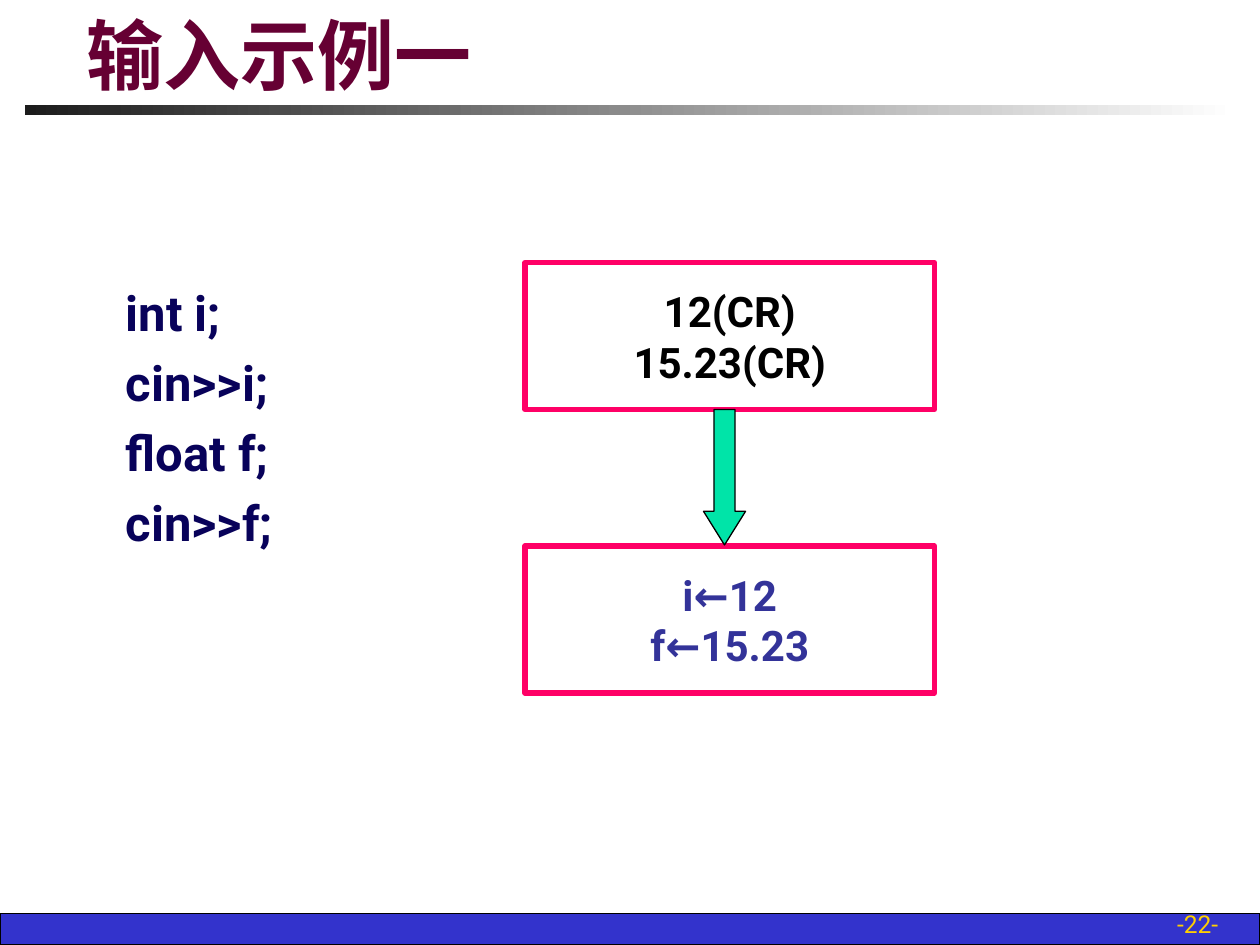
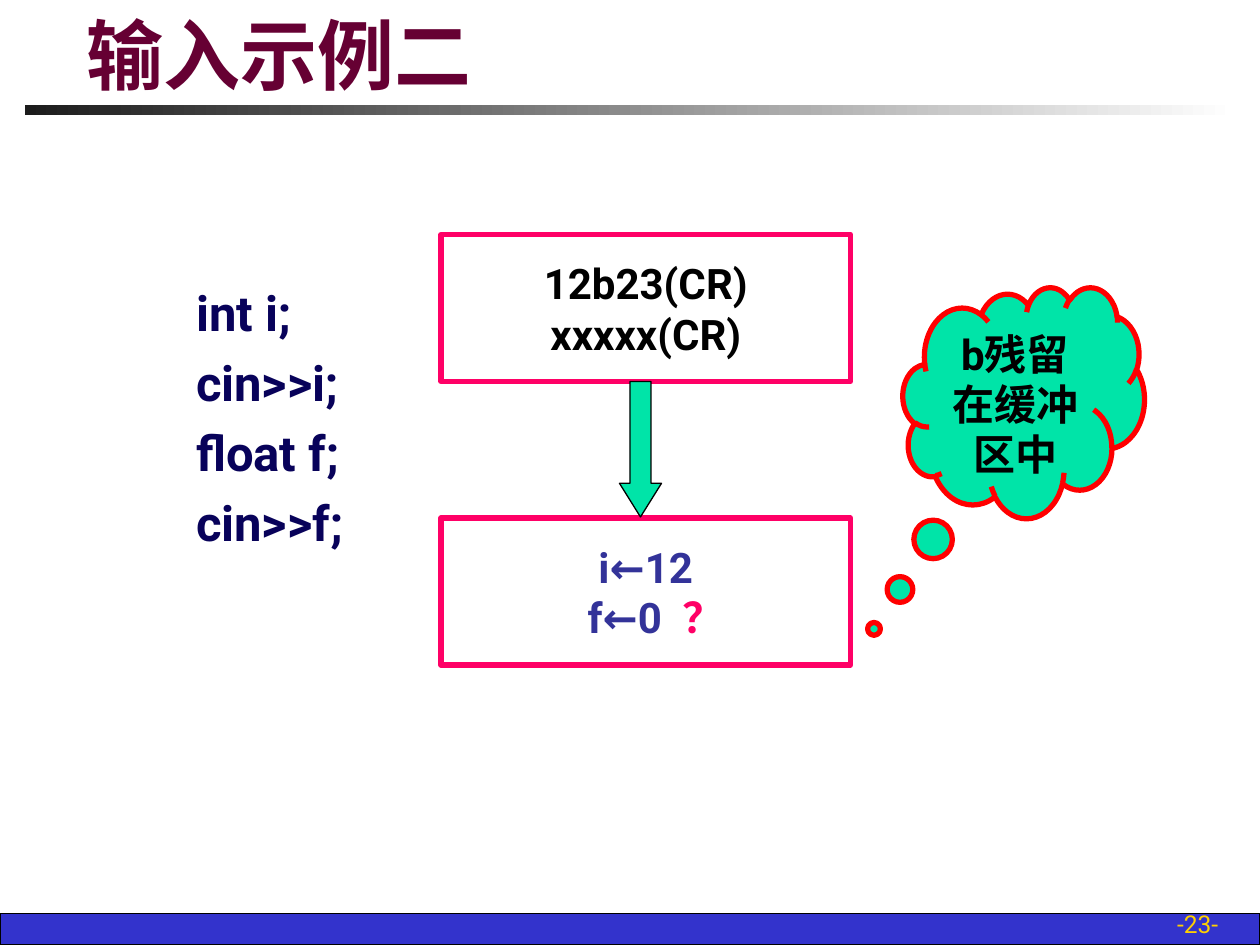
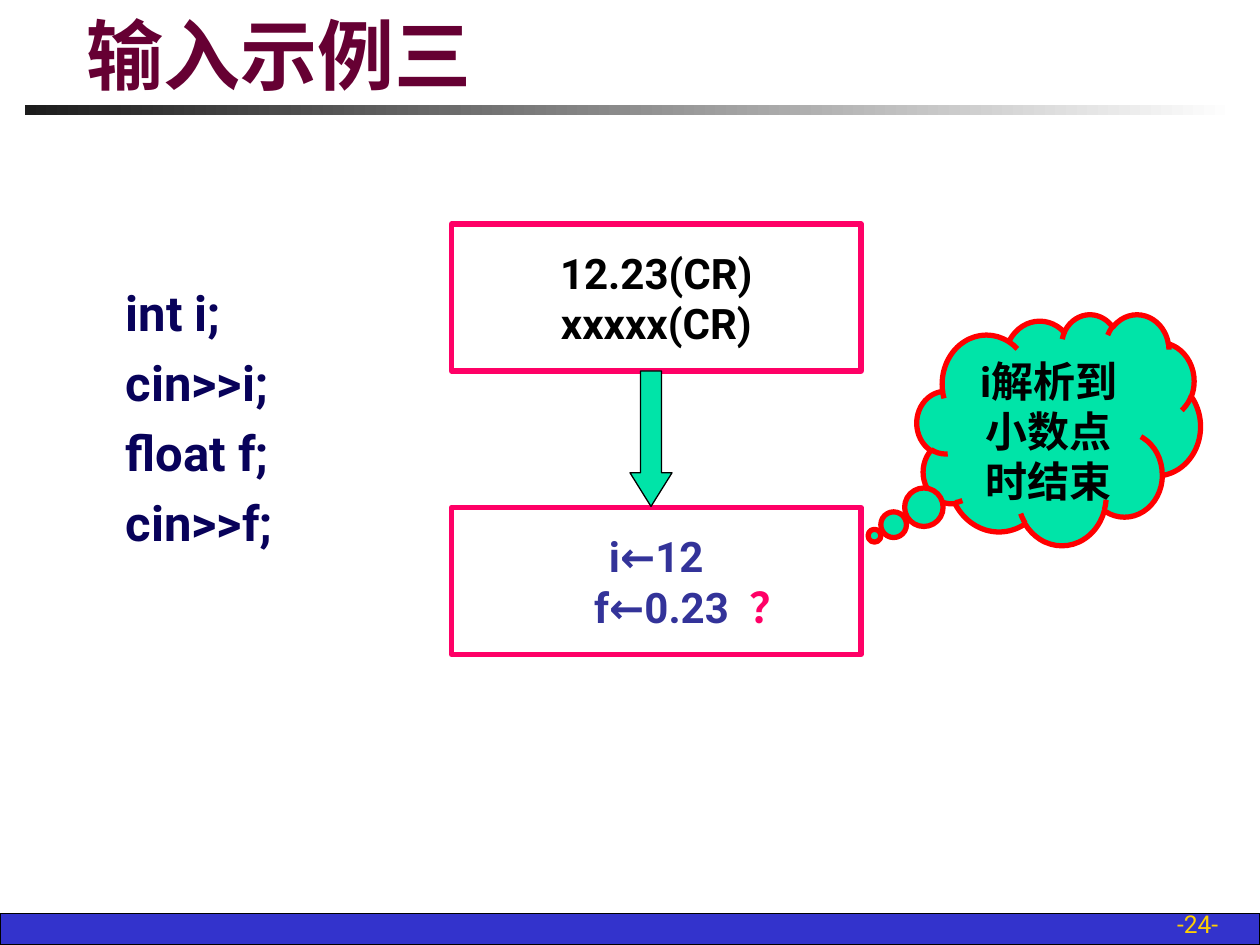
from pptx import Presentation
from pptx.dml.color import RGBColor
from pptx.enum.shapes import MSO_SHAPE
from pptx.enum.text import MSO_ANCHOR, PP_ALIGN
from pptx.util import Inches, Pt

RECT, ARROW, CLOUD = MSO_SHAPE.RECTANGLE, MSO_SHAPE.DOWN_ARROW, MSO_SHAPE.CLOUD_CALLOUT
TOP, MID, LOW = MSO_ANCHOR.TOP, MSO_ANCHOR.MIDDLE, MSO_ANCHOR.BOTTOM
LEFT, CENTER, RIGHT = PP_ALIGN.LEFT, PP_ALIGN.CENTER, PP_ALIGN.RIGHT

BLACK = RGBColor(0x00, 0x00, 0x00)
WHITE = RGBColor(0xFF, 0xFF, 0xFF)
DARK = RGBColor(0x1C, 0x1C, 0x1C)
BLUE = RGBColor(0x33, 0x33, 0xCC)
GOLD = RGBColor(0xFF, 0xCF, 0x01)
WINE = RGBColor(0x66, 0x00, 0x33)
NAVY = RGBColor(0x08, 0x02, 0x5A)
INDIGO = RGBColor(0x33, 0x33, 0x99)
PINK = RGBColor(0xFF, 0x00, 0x66)
GREEN = RGBColor(0x00, 0xE4, 0xA8)
RED = RGBColor(0xFF, 0x00, 0x00)

WIDTH, HEIGHT = Inches(10), Inches(7.5)
COLS, ROWS = 120, 90
FONT, TITLE_FONT = "Roboto", "Comic Neue"
CODE = ["int i;", "cin>>i;", "float f;", "cin>>f;"]
MARK = "？"

CASES = [
    dict(title="输入示例一", page=22, code=10.8, flow=(50, 25),
         given=["12(CR)", "15.23(CR)"], got=["i←12", "f←15.23"]),
    dict(title="输入示例二", page=23, code=17.5, flow=(42, 22.33),
         given=["12b23(CR)", "xxxxx(CR)"], got=["i←12", "f←0"], shift=2,
         cloud=(86, 27.33, 23, 22), tail=(-0.62, 0.98), note="b残留在缓冲区中"),
    dict(title="输入示例三", page=24, code=10.8, flow=(43, 21.33),
         given=["12.23(CR)", "xxxxx(CR)"], got=["i←12", "f←0.23"], shift=7,
         cloud=(87.33, 29.9, 27, 22), tail=(-0.65, 0.46), note="i解析到小数点时结束"),
]


def place(box):
    x, y, w, h = box
    return (round(WIDTH * x / COLS), round(HEIGHT * y / ROWS),
            round(WIDTH * w / COLS), round(HEIGHT * h / ROWS))


def draw(slide, kind, box, fill=None, line=None, weight=0.75):
    shape = slide.shapes.add_shape(kind, *place(box))
    shape.shadow.inherit = False
    if fill is None:
        shape.fill.background()
    else:
        shape.fill.solid()
        shape.fill.fore_color.rgb = fill
    if line is None:
        shape.line.fill.background()
    else:
        shape.line.color.rgb = line
        shape.line.width = Pt(weight)
    return shape


def add_run(para, text, size, color, font, bold):
    run = para.add_run()
    run.text = text
    run.font.size = Pt(size)
    run.font.name = font
    run.font.bold = bold
    run.font.color.rgb = color
    return run


def write(shape, lines, size=24, color=BLACK, font=FONT, bold=True,
          align=CENTER, anchor=MID, after=0):
    frame = shape.text_frame
    frame.word_wrap = True
    frame.vertical_anchor = anchor
    for n, text in enumerate(lines):
        para = frame.paragraphs[0] if n == 0 else frame.add_paragraph()
        para.alignment = align
        para.space_after = Pt(after)
        add_run(para, text, size, color, font, bold)
    return frame


def label(slide, box, lines, **style):
    return write(slide.shapes.add_textbox(*place(box)), lines, **style)


def add_frame(slide, title, page):
    draw(slide, RECT, (0, 87, COLS, 3), BLUE, BLACK)
    band = draw(slide, RECT, (2.4, 10, 115.3, 1))
    band.fill.gradient()
    band.fill.gradient_angle = 0
    for stop, color in zip(band.fill.gradient_stops, (DARK, WHITE)):
        stop.color.rgb = color
    label(slide, (92.2, 86, 25, 4), [f"-{page}-"], size=14, color=GOLD,
          bold=False, align=RIGHT, anchor=LOW)
    label(slide, (7.1, 1.6, 104.6, 8.5), [title], size=44, color=WINE,
          font=TITLE_FONT, align=LEFT, anchor=LOW)


def add_flow(slide, spot, given, got, shift=0):
    x, y = spot
    wide, tall, step = 39, 14, 27
    for top, lines, color in ((y, given, BLACK), (y + step, got, INDIGO)):
        box = draw(slide, RECT, (x, top, wide, tall), line=PINK, weight=3)
        frame = write(box, lines, color=color)
    if shift:
        para = frame.paragraphs[-1]
        props = para._p.get_or_add_pPr()
        props.set("marL", str(round(WIDTH * shift / COLS)))
        props.set("indent", "0")
        gap = add_run(para, " ", 24, INDIGO, FONT, True)
        gap.font._element.set("spc", "600")
        add_run(para, MARK, 24, PINK, FONT, True)
    arrow = draw(slide, ARROW, (x + 17, y + tall, 4, step - tall - 0.1), GREEN, BLACK)
    arrow.adjustments[0] = 0.5
    arrow.adjustments[1] = 0.8


def add_cloud(slide, box, tail, note):
    cloud = draw(slide, CLOUD, box, GREEN, RED, 3)
    for n, value in enumerate(tail):
        cloud.adjustments[n] = value
    write(cloud, [note], anchor=TOP)


def add_case(deck, case):
    slide = deck.slides.add_slide(deck.slide_layouts[6])
    add_frame(slide, case["title"], case["page"])
    label(slide, (case["code"], 26.3, 30, 27), CODE, size=28, color=NAVY,
          align=LEFT, anchor=TOP, after=6.5)
    add_flow(slide, case["flow"], case["given"], case["got"], case.get("shift", 0))
    if "cloud" in case:
        add_cloud(slide, case["cloud"], case["tail"], case["note"])


def main():
    deck = Presentation()
    deck.slide_width, deck.slide_height = WIDTH, HEIGHT
    for case in CASES:
        add_case(deck, case)
    deck.save("out.pptx")


if __name__ == "__main__":
    main()
